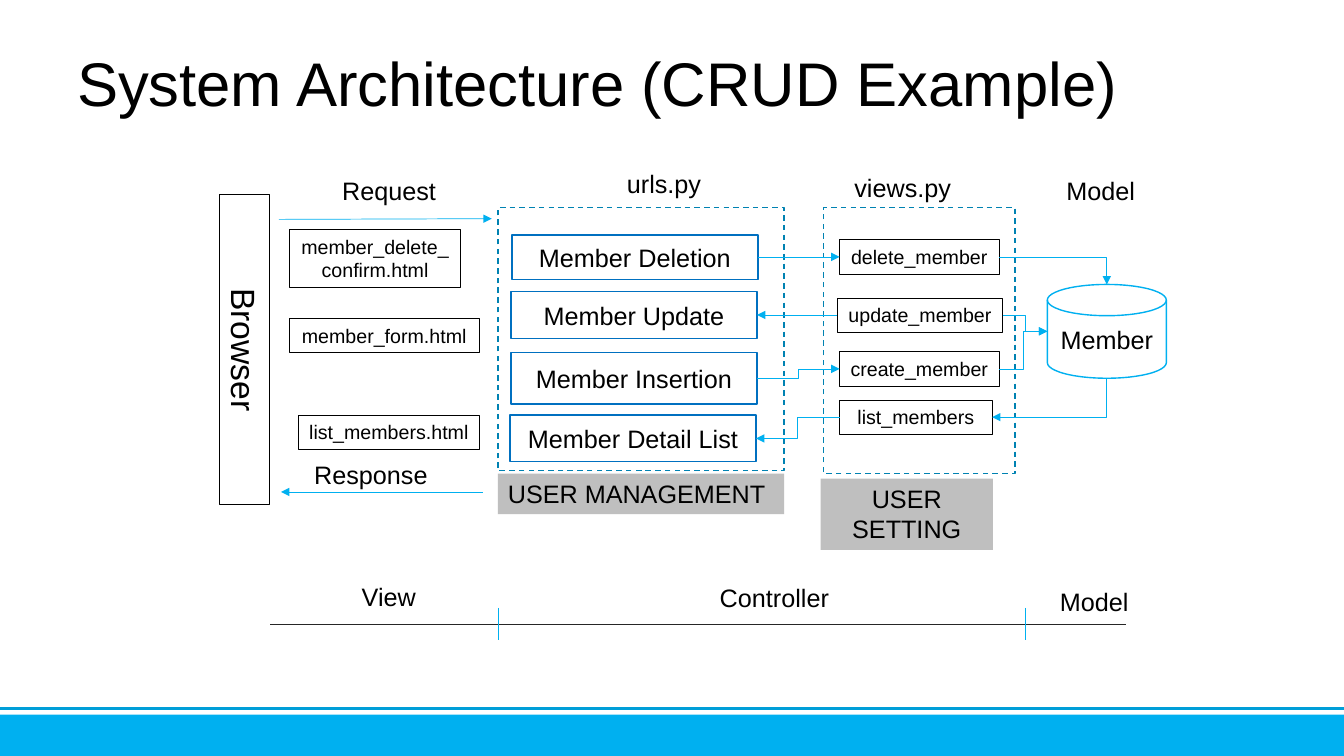
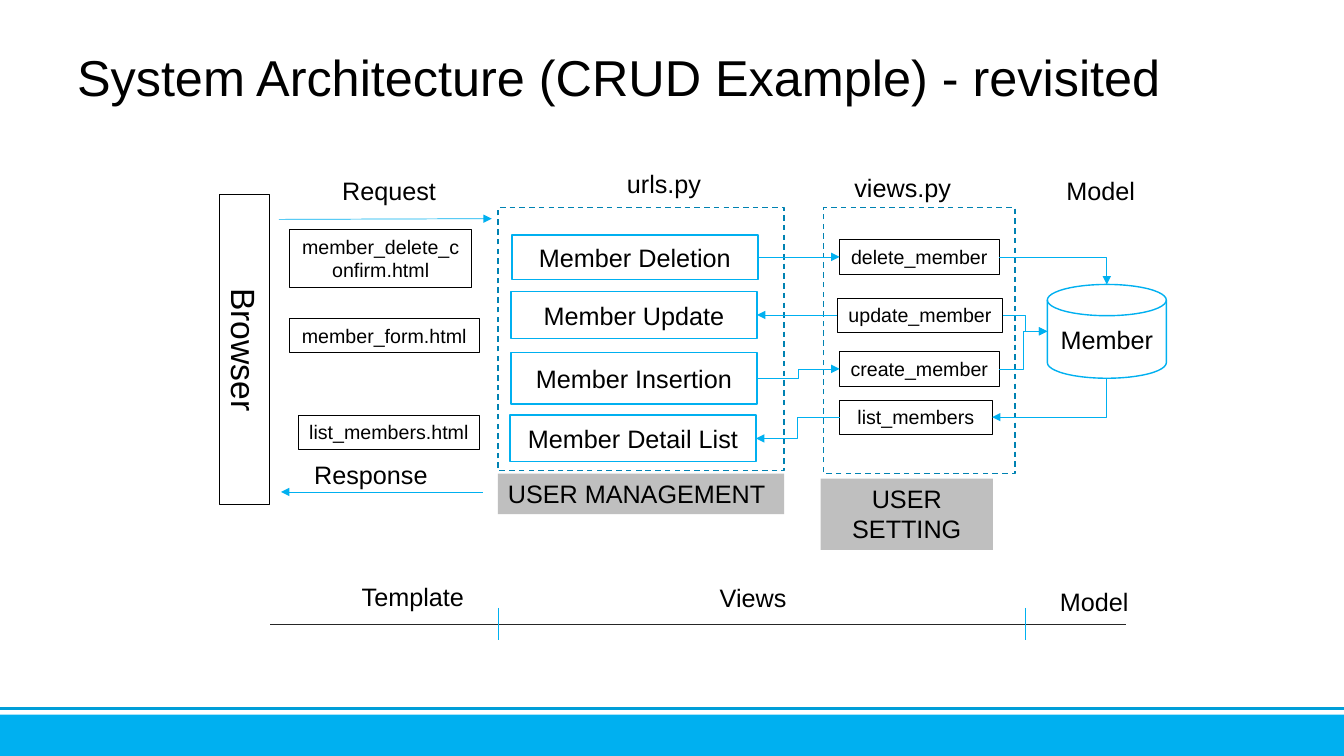
from collections import namedtuple

from pptx import Presentation
from pptx.dml.color import RGBColor
from pptx.enum import dml, shapes, text
from pptx.oxml.ns import qn
from pptx.util import Pt

BLACK = RGBColor(0x00, 0x00, 0x00)
WHITE = RGBColor(0xFF, 0xFF, 0xFF)
AXIS_GRAY = RGBColor(0x26, 0x26, 0x26)
CAPTION_GRAY = RGBColor(0xBF, 0xBF, 0xBF)
SKY = RGBColor(0x00, 0xB0, 0xF0)
RULE_BLUE = RGBColor(0x00, 0x9E, 0xD8)
PANEL_BLUE = RGBColor(0x00, 0x82, 0xB2)
ROUTE_BLUE = RGBColor(0x00, 0x70, 0xC0)

FONT = "Arial"
SLIDE_WIDTH, SLIDE_HEIGHT = 960, 540
LABEL_SIZE, CODE_SIZE, BROWSER_SIZE = 18, 14, 24
LABEL_WIDTH, LABEL_HEIGHT, CODE_HEIGHT = 110, 29, 24.5
ROUTE_WIDTH = 175.7
THIN = 0.5

RECTANGLE = shapes.MSO_SHAPE.RECTANGLE
DISK = shapes.MSO_SHAPE.FLOWCHART_MAGNETIC_DISK
SITES = {
    RECTANGLE: {"top": 0, "left": 1, "bottom": 2, "right": 3},
    DISK: {"top": 1, "left": 2, "bottom": 3, "right": 4},
}

Box = namedtuple("Box", "left top width height")


def inside(box, left, top, width, height):
    return Box(box.left + left, box.top + top, width, height)


def write(shape, words, size, align=text.PP_ALIGN.LEFT, anchor=text.MSO_ANCHOR.TOP):
    frame = shape.text_frame
    frame.word_wrap = True
    frame.vertical_anchor = anchor
    frame.text = words
    paragraph = frame.paragraphs[0]
    paragraph.alignment = align
    font = paragraph.runs[0].font
    font.name, font.size = FONT, Pt(size)
    font.color.rgb = BLACK
    return paragraph


def add_label(slide, box, words, size=LABEL_SIZE):
    label = slide.shapes.add_textbox(*map(Pt, box))
    return write(label, words, size)


def add_box(slide, box, kind=RECTANGLE, fill=None, line=None, weight=0.75):
    shape = slide.shapes.add_shape(kind, *map(Pt, box))
    shape.shadow.inherit = False
    if fill is None:
        shape.fill.background()
    else:
        shape.fill.solid()
        shape.fill.fore_color.rgb = fill
    if line is None:
        shape.line.fill.background()
    else:
        shape.line.color.rgb = line
        shape.line.width = Pt(weight)
    return shape


def add_code(slide, box, words):
    shape = add_box(slide, box, line=BLACK)
    write(shape, words, CODE_SIZE, text.PP_ALIGN.CENTER)
    return shape


def add_panel(slide, box):
    add_box(slide, box, line=PANEL_BLUE, weight=1).line.dash_style = dml.MSO_LINE.DASH


def style_line(connector, color, weight, arrow=None):
    """Colour a connector; arrow is headEnd (at its start) or tailEnd."""
    connector.line.color.rgb = color
    connector.line.width = Pt(weight)
    properties = connector._element.spPr
    if arrow:
        line = properties.find(qn("a:ln"))
        line.makeelement(qn("a:" + arrow), {"type": "triangle"})
        line.append(line.makeelement(qn("a:" + arrow), {"type": "triangle"}))
    properties.append(properties.makeelement(qn("a:effectLst"), {}))


def add_line(slide, start, end, color=SKY, weight=THIN, arrow=None):
    connector = slide.shapes.add_connector(
        shapes.MSO_CONNECTOR.STRAIGHT, *map(Pt, (*start, *end)))
    style_line(connector, color, weight, arrow)


def side_point(shape, side):
    across = {"left": 0, "right": 1}.get(side, 0.5)
    down = {"top": 0, "bottom": 1}.get(side, 0.5)
    return (int(shape.left + across * shape.width),
            int(shape.top + down * shape.height))


def link(slide, source, source_side, target, target_side, arrow="tailEnd"):
    """Glue an elbow between two shapes; a horizontal-to-vertical one has one bend."""
    start = side_point(source, source_side)
    end = side_point(target, target_side)
    connector = slide.shapes.add_connector(shapes.MSO_CONNECTOR.ELBOW, *start, *end)
    connector.begin_connect(source, 0)
    connector.end_connect(target, 0)
    connector.begin_x, connector.begin_y = start
    connector.end_x, connector.end_y = end
    properties = connector._element.nvCxnSpPr.cNvCxnSpPr
    properties.stCxn.set("idx", str(SITES[source.auto_shape_type][source_side]))
    properties.endCxn.set("idx", str(SITES[target.auto_shape_type][target_side]))
    if target_side in ("top", "bottom"):
        connector._element.spPr.find(qn("a:prstGeom")).set("prst", "bentConnector2")
    style_line(connector, SKY, THIN, arrow)


def draw_frame(slide, title, title_size):
    add_line(slide, (0, 506), (SLIDE_WIDTH, 506), RULE_BLUE, 2)
    add_box(slide, Box(0, 510.5, SLIDE_WIDTH, 29.5), fill=SKY)
    add_label(slide, Box(48, 34.5, 864, 55.5), title, title_size).line_spacing = 0.9


def draw_browser(slide, box):
    """The shape lies flat around the box's centre, then turns upright."""
    shift = (box.height - box.width) / 2
    flat = Box(box.left - shift, box.top + shift, box.height, box.width)
    browser = add_box(slide, flat, line=BLACK)
    browser.rotation = 90
    write(browser, "Browser", BROWSER_SIZE, text.PP_ALIGN.CENTER)


def draw_templates(slide, box, confirm_width):
    add_label(slide, inside(box, 38, 0, LABEL_WIDTH, LABEL_HEIGHT), "Request")
    add_label(slide, inside(box, 18, 203, LABEL_WIDTH, LABEL_HEIGHT), "Response")
    right = box.left + box.width
    add_line(slide, (box.left, box.top + 35), (right, box.top + 34.5), arrow="tailEnd")
    bottom = box.top + box.height
    add_line(slide, (right - 6.5, bottom), (box.left + 1.5, bottom), arrow="tailEnd")
    for left, top, width, height, name in (
            (7.5, 42.5, confirm_width, 41, "member_delete_confirm.html"),
            (7.5, 105.8, 135.4, CODE_HEIGHT, "member_form.html"),
            (14, 175, 129, CODE_HEIGHT, "list_members.html")):
        add_code(slide, inside(box, left, top, width, height), name)


def draw_routes(slide, box, color):
    add_panel(slide, box)
    add_label(slide, inside(box, 85, -31.5, LABEL_WIDTH, LABEL_HEIGHT), "urls.py")
    routes = []
    for left, top, height, name in (
            (10, 19.5, 31.7, "Member Deletion"),
            (9.3, 59.8, 33.8, "Member Update"),
            (9.3, 103.7, 36.7, "Member Insertion"),
            (8.6, 148.3, 33.1, "Member Detail List")):
        route = add_box(slide, inside(box, left, top, ROUTE_WIDTH, height),
                        line=color, weight=1)
        write(route, name, LABEL_SIZE, text.PP_ALIGN.CENTER, text.MSO_ANCHOR.MIDDLE)
        routes.append(route)
    caption = add_box(slide, inside(box, 0, 190, box.width, LABEL_HEIGHT),
                      fill=CAPTION_GRAY)
    write(caption, "USER MANAGEMENT", LABEL_SIZE)
    return routes


def draw_views(slide, box):
    add_panel(slide, box)
    add_label(slide, inside(box, 15, -29, LABEL_WIDTH, LABEL_HEIGHT), "views.py")
    views = [
        add_code(slide, inside(box, left, top, width, CODE_HEIGHT), name)
        for left, top, width, name in (
            (11.5, 23, 114, "delete_member"),
            (10, 64.8, 118, "update_member"),
            (11.5, 103, 114, "create_member"),
            (11.5, 137.5, 109, "list_members"))]
    caption = add_box(slide, inside(box, -2, 193.5, 123, 51), fill=CAPTION_GRAY)
    write(caption, "USER SETTING", LABEL_SIZE, text.PP_ALIGN.CENTER)
    return views


def draw_model(slide, box):
    add_label(slide, inside(box, 6.5, -81.5, LABEL_WIDTH, LABEL_HEIGHT), "Model")
    store = add_box(slide, box, DISK, WHITE, SKY, 1)
    write(store, "Member", LABEL_SIZE, text.PP_ALIGN.CENTER, text.MSO_ANCHOR.MIDDLE)
    return store


def draw_links(slide, routes, views, store):
    for route, view, arrow in zip(routes, views, ("tailEnd", "headEnd") * 2):
        link(slide, route, "right", view, "left", arrow)
    for view, side, arrow in zip(views, ("top", "left", "left", "bottom"),
                                 ("tailEnd",) * 3 + ("headEnd",)):
        link(slide, view, "right", store, side, arrow)


def draw_layers(slide, box, names):
    middle = box.top + box.height / 2
    add_line(slide, (box.left, middle), (box.left + box.width, middle), AXIS_GRAY)
    for offset in (162.7, 539.3):
        tick = box.left + offset
        add_line(slide, (tick, box.top), (tick, box.top + box.height))
    for left, top, name in zip((58.3, 314, 557), (-22.3, -22, -18.8), names):
        add_label(slide, inside(box, left, top, LABEL_WIDTH, LABEL_HEIGHT), name)


def draw_architecture(presentation, title, title_size, route_color, confirm_width, layers):
    slide = presentation.slides.add_slide(presentation.slide_layouts[6])
    draw_frame(slide, title, title_size)
    draw_browser(slide, Box(156.6, 139.3, 36, 221))
    draw_templates(slide, Box(199.3, 121.7, 152, 229.7), confirm_width)
    routes = draw_routes(slide, Box(355.7, 148.3, 204.5, 188), route_color)
    views = draw_views(slide, Box(588.2, 148.3, 136.8, 190))
    store = draw_model(slide, Box(748.1, 203.2, 85, 67))
    draw_links(slide, routes, views, store)
    draw_layers(slide, Box(193, 434.2, 611.2, 23), layers)


def main():
    presentation = Presentation()
    presentation.slide_width = Pt(SLIDE_WIDTH)
    presentation.slide_height = Pt(SLIDE_HEIGHT)
    draw_architecture(presentation, "System Architecture (CRUD Example)", 44,
                      ROUTE_BLUE, 122.4, ("View", "Controller", "Model"))
    draw_architecture(presentation, "System Architecture (CRUD Example) - revisited", 36,
                      SKY, 130.3, ("Template", "Views", "Model"))
    presentation.save("out.pptx")


if __name__ == "__main__":
    main()
